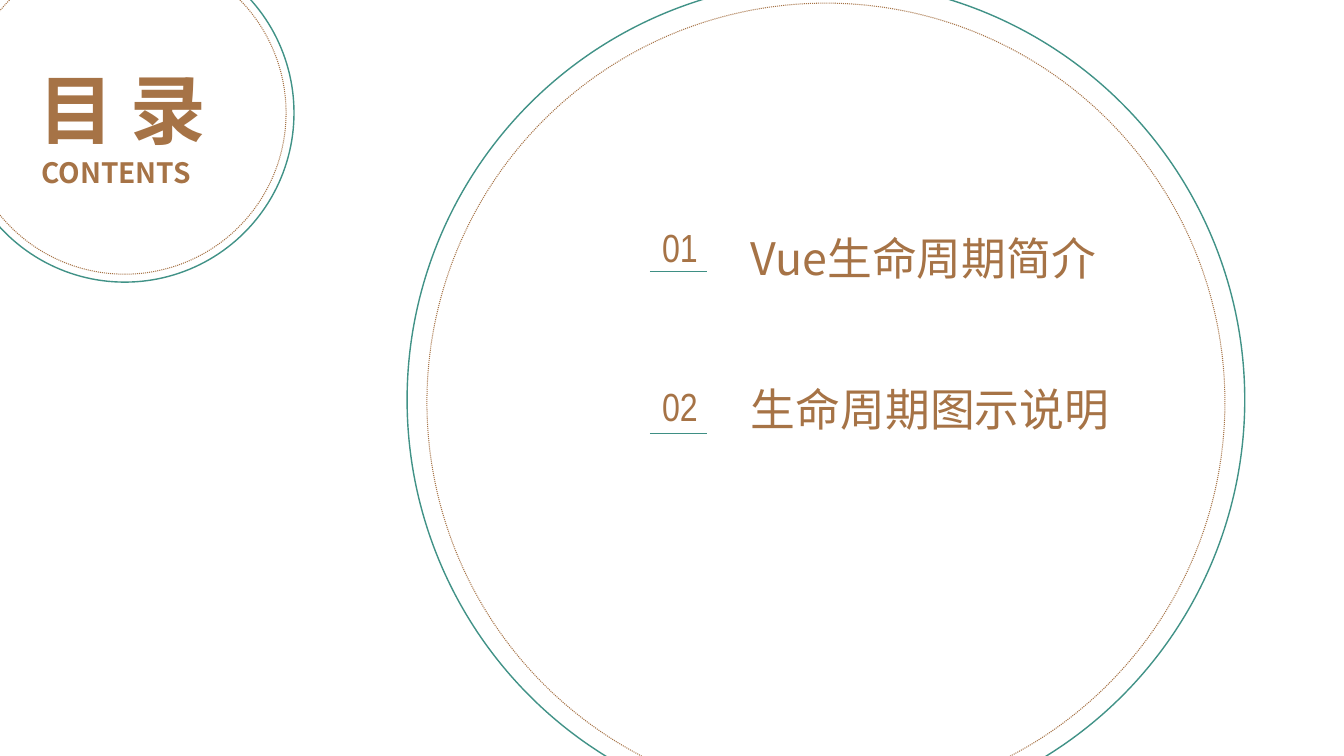
from lxml import etree
from pptx import Presentation
from pptx import util as u
from pptx.dml.color import RGBColor
from pptx.enum import dml, shapes, text
from pptx.oxml import ns

Cm, Pt = u.Cm, u.Pt
HUES = {"brown": "A67346", "green": "419287", "rule": "3E8F84", "white": "FFFFFF"}
SANS, SLIM = "Noto Sans CJK SC", "Arial Narrow"


def hue(name):
    """Return a named colour."""
    return RGBColor.from_string(HUES[name])


def place(shape, x, y, w, h):
    """Move a shape to a box given in centimetres."""
    shape.left, shape.top, shape.width, shape.height = Cm(x), Cm(y), Cm(w), Cm(h)


def write(shape, words, size, face=SANS, bold=False, mid=False, pitch=None):
    """Fill a text shape with one formatted paragraph."""
    frame = shape.text_frame
    frame.text = words
    frame.word_wrap = True
    frame.auto_size = text.MSO_AUTO_SIZE.NONE
    frame.vertical_anchor = text.MSO_ANCHOR.TOP
    para = frame.paragraphs[0]
    props = para._p.get_or_add_pPr()
    props.set("marL", "0")
    props.set("indent", "0")
    etree.SubElement(props, ns.qn("a:buNone"))
    para.alignment = text.PP_ALIGN.CENTER if mid else text.PP_ALIGN.LEFT
    para.space_before = Pt(0)
    para.line_spacing = Pt(pitch) if pitch else 1.0
    font = para.font
    font.name, font.size, font.bold = face, Pt(size), bold
    font.color.rgb = hue("brown")
    etree.SubElement(font._element, ns.qn("a:ea"), typeface=face)


def label(slide, x, y, w, h, words, size, **style):
    """Add a text box."""
    box = slide.shapes.add_textbox(Cm(x), Cm(y), Cm(w), Cm(h))
    write(box, words, size, **style)


def disc(slide, x, y, size, tint, width):
    """Add an outlined circle."""
    oval = slide.shapes.add_shape(
        shapes.MSO_SHAPE.OVAL, Cm(x), Cm(y), Cm(size), Cm(size))
    oval.shadow.inherit = False
    oval.line.color.rgb = hue(tint)
    oval.line.width = Pt(width)
    return oval


def ring(slide, x, y, size, gap, drop=0):
    """Draw a solid circle with a dotted one inside it."""
    outer = disc(slide, x, y, size, "green", 1)
    outer.fill.solid()
    outer.fill.fore_color.rgb = hue("white")
    inner = disc(slide, x + gap, y + gap + drop, size - 2 * gap, "brown", 0.75)
    inner.fill.background()
    inner.line.dash_style = dml.MSO_LINE.ROUND_DOT


def head(slide, x, y):
    """Place the heading and its subtitle in the small ring."""
    ring(slide, x, y, 8.53, 0.2)
    title = slide.shapes.title
    slide.shapes._spTree.append(title._element)
    place(title, x + 1.7, y + 2.74, 5, 2.69)
    write(title, "目 录", 54, bold=True, mid=True, pitch=69)
    label(slide, x + 1.91, y + 5.15, 4.6, 1.17, "CONTENTS", 20, bold=True, pitch=26)


def entry(slide, body, x, y, num, words, wide, dip, base):
    """Place one numbered, underlined entry."""
    label(slide, x, y, 1.75, 1.45, num, 28, face=SLIM, mid=True)
    rule = slide.shapes.add_connector(
        shapes.MSO_CONNECTOR.STRAIGHT,
        Cm(x + 0.12), Cm(y + base), Cm(x + 1.57), Cm(y + base))
    rule.line.color.rgb = hue("rule")
    rule.line.width = Pt(0.5)
    etree.SubElement(rule._element.spPr, ns.qn("a:effectLst"))
    slide.shapes._spTree.append(body._element)
    place(body, x + 2.41, y + dip, wide, 1.63)
    write(body, words, 32, pitch=38.4)


def agenda(slide, x, y):
    """Place the entries in the large ring."""
    ring(slide, x, y, 21.11, 0.5, 0.06)
    rows = [(5.97, "01", "Vue生命周期简介", 9.3, 0.2, 1.34),
            (9.98, "02", "生命周期图示说明", 9.86, 0, 1.42)]
    bodies = [slide.placeholders[1], slide.placeholders[2]]
    for body, (down, *row) in zip(bodies, rows):
        entry(slide, body, x + 6, y + down, *row)


def main():
    """Build and save the contents slide."""
    deck = Presentation()
    deck.slide_width, deck.slide_height = Cm(33.87), Cm(19.05)
    slide = deck.slides.add_slide(deck.slide_layouts[3])
    head(slide, -1.12, -1.42)
    agenda(slide, 10.26, -0.48)
    deck.save("out.pptx")


if __name__ == "__main__":
    main()
